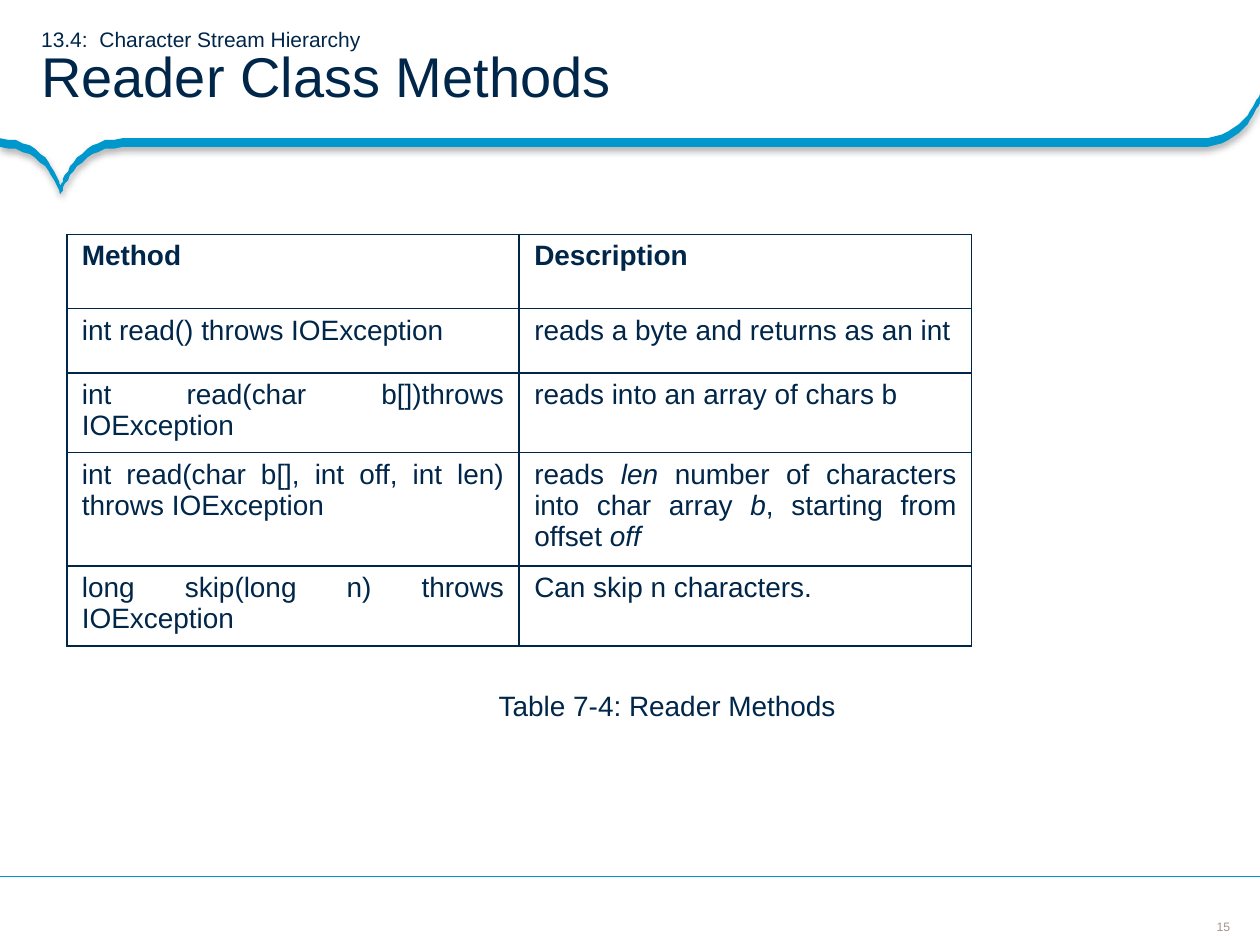
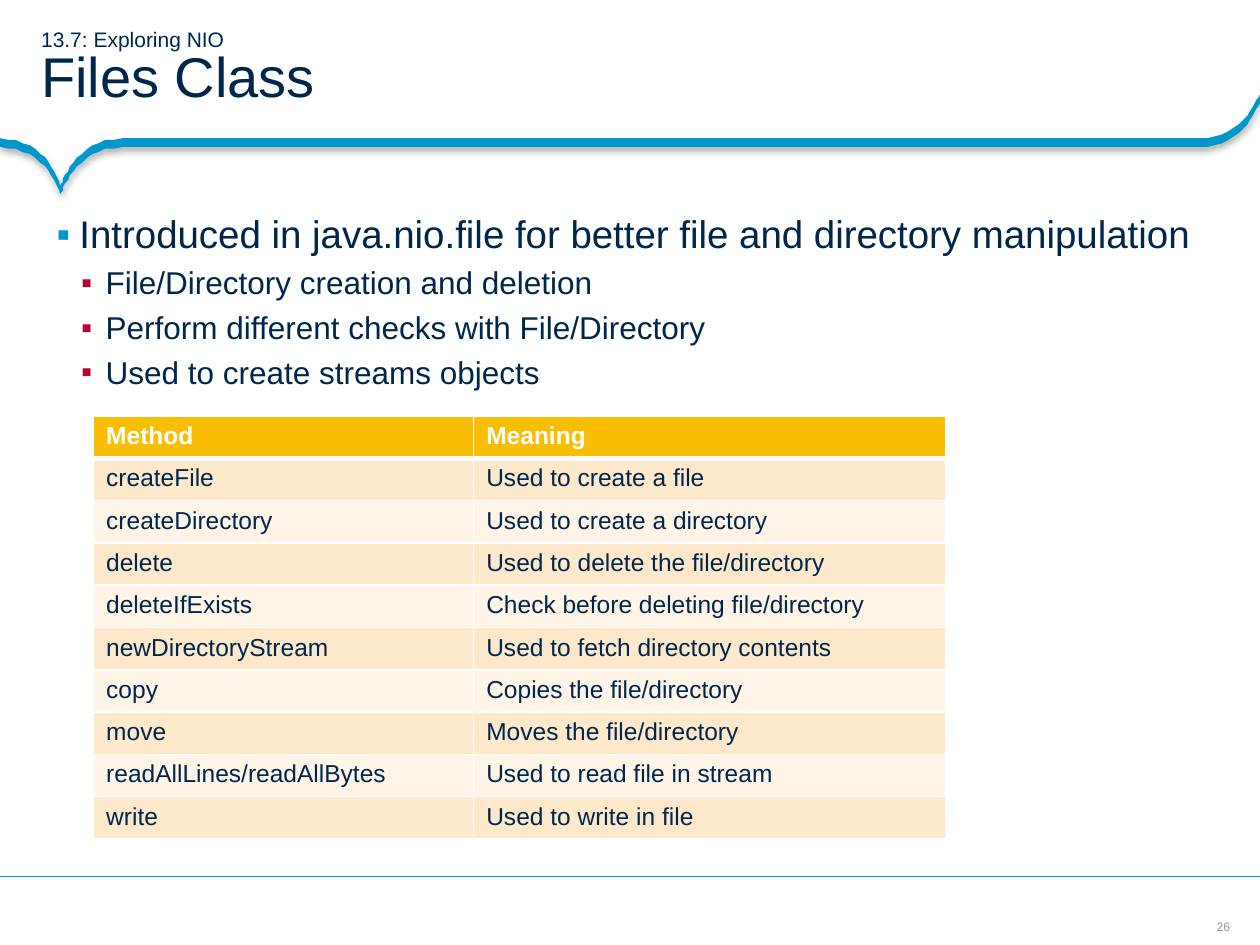
from copy import deepcopy

from lxml.etree import SubElement
from pptx import Presentation
from pptx.dml.color import RGBColor
from pptx.enum.shapes import MSO_CONNECTOR
from pptx.enum.text import MSO_ANCHOR, PP_ALIGN
from pptx.oxml.ns import qn
from pptx.util import Pt

MIDDLE = MSO_ANCHOR.MIDDLE
CENTER, JUSTIFY = PP_ALIGN.CENTER, PP_ALIGN.JUSTIFY
STRAIGHT = MSO_CONNECTOR.STRAIGHT

rgb = RGBColor.from_string
NAVY, BLUE, RED, GREY = "00264A", "0098CC", "B70132", "9F958F"
WHITE, GOLD, PEACH, CREAM = "FFFFFF", "F9BE01", "FDE8CC", "FEF4E7"

HEADS = [
    ("13.4:  Character Stream Hierarchy", "Reader Class Methods", "15"),
    ("13.7: Exploring NIO", "Files Class", "26"),
]
READER = [
    ("Method", "Description"),
    ("int read() throws IOException", "reads a byte and returns as an int"),
    ("int read(char b[])throws IOException", "reads into an array of chars b"),
    ("int read(char b[], int off, int len) throws IOException",
     "reads *len *number of characters into char array *b*, "
     "starting from offset *off*"),
    ("long skip(long n) throws IOException", "Can skip n characters."),
]
FILES = [
    ("Method", "Meaning"),
    ("createFile", "Used to create a file"),
    ("createDirectory", "Used to create a directory"),
    ("delete", "Used to delete the file/directory"),
    ("deleteIfExists", "Check before deleting file/directory"),
    ("newDirectoryStream", "Used to fetch directory contents"),
    ("copy", "Copies the file/directory"),
    ("move", "Moves the file/directory"),
    ("readAllLines/readAllBytes", "Used to read file in stream"),
    ("write", "Used to write in file"),
]
POINTS = [
    ("Introduced in java.nio.file for better file and directory manipulation",
     22, BLUE, 13),
    ("File/Directory creation and deletion", 18, RED, 28),
    ("Perform different checks with File/Directory", 18, RED, 28),
    ("Used to create streams objects", 18, RED, 28),
]


def write(para, text, size, color=NAVY, bold=False, align=None,
          line=None, before=None, after=None):
    """Add runs to a paragraph; text between asterisks is italic."""
    for i, part in enumerate(text.split("*")):
        if part:
            run = para.add_run()
            run.text = part
            font = run.font
            font.name, font.size, font.bold = "Arial", Pt(size), bold
            font.italic = i % 2 == 1
            font.color.rgb = rgb(color)
    if align is not None:
        para.alignment = align
    if line:
        para.line_spacing = line
    if before:
        para.space_before = Pt(before)
    if after:
        para.space_after = Pt(after)


def grid(slide, rows, left, top, cols, highs, edge, rule, fills, ink, size,
         pad, **form):
    """Add a table; rule is the line width under its head row,
    fills are those of the head, odd and even rows."""
    table = slide.shapes.add_table(
        len(rows), len(cols), Pt(left), Pt(top), Pt(sum(cols)),
        Pt(sum(highs))).table
    for col, wide in zip(table.columns, cols):
        col.width = Pt(wide)
    for r, (texts, high) in enumerate(zip(rows, highs)):
        table.rows[r].height = Pt(high)
        head = r == 0
        for c, text in enumerate(texts):
            cell = table.cell(r, c)
            cell.margin_left = cell.margin_right = Pt(pad)
            props = cell._tc.get_or_add_tcPr()
            for side in "LRTB":
                wide = rule if (r, side) in ((0, "B"), (1, "T")) else 1
                ln = SubElement(props, qn("a:ln" + side), w=str(Pt(wide)))
                fill = SubElement(ln, qn("a:solidFill"))
                SubElement(fill, qn("a:srgbClr"), val=edge)
            cell.fill.solid()
            cell.fill.fore_color.rgb = rgb(
                fills[0] if head else fills[2 - r % 2])
            write(cell.text_frame.paragraphs[0], text, size,
                  ink if head else NAVY, head, **form)


# Upper edge of the band: three curves, the lower edge is the same moved down
arcs = [
    ((0, 79.2), (27.4, 79.2), (34.8, 106), (34.8, 106)),
    ((34.8, 106), (34.8, 106), (42.5, 79.2), (69.8, 79.2)),
    ((684.7, 79.2), (712, 79.2), (720, 53.3), (720, 53.3)),
]
STEPS, THICK = 16, 5
edge = []
for arc in arcs:
    for n in range(STEPS + 1):
        t = n / STEPS
        mix = ((1 - t) ** 3, 3 * t * (1 - t) ** 2, 3 * t * t * (1 - t), t ** 3)
        edge.append(tuple(sum(m * p[k] for m, p in zip(mix, arc))
                          for k in (0, 1)))
band = edge + [(x, y + THICK) for x, y in reversed(edge)]

deck = Presentation()
deck.slide_width, deck.slide_height = Pt(720), Pt(540)
slides = []
for topic, name, page in HEADS:
    slide = deck.slides.add_slide(deck.slide_layouts[5])
    slides.append(slide)
    shapes = slide.shapes

    pen = shapes.build_freeform(*band[0], scale=Pt(1))
    pen.add_line_segments(band[1:], close=True)
    wave = pen.convert_to_shape()
    wave.fill.solid()
    wave.fill.fore_color.rgb = rgb(BLUE)
    wave.line.fill.background()
    wave.shadow.inherit = False
    glow = SubElement(wave._element.spPr.find(qn("a:effectLst")),
                      qn("a:outerShdw"), blurRad=str(Pt(4)), dist=str(Pt(2)),
                      dir="5400000", algn="t", rotWithShape="0")
    tint = SubElement(glow, qn("a:srgbClr"), val="000000")
    SubElement(tint, qn("a:alpha"), val="31000")

    foot = shapes.add_connector(STRAIGHT, Pt(720), Pt(501), Pt(0), Pt(501))
    foot.line.color.rgb = rgb(BLUE)
    foot.line.width = Pt(0.75)
    SubElement(foot._element.spPr, qn("a:effectLst"))

    title = shapes.title
    title.left, title.top = Pt(0), Pt(0)
    title.width, title.height = Pt(720), Pt(79.2)
    frame = title.text_frame
    frame.word_wrap = True
    frame.vertical_anchor = MIDDLE
    frame.margin_left, frame.margin_right = Pt(23.5), Pt(13)
    frame.margin_top = frame.margin_bottom = Pt(3)
    para = frame.paragraphs[0]
    write(para, topic, 12, align=PP_ALIGN.LEFT, line=0.85)
    para.add_line_break()
    para._p[-1].append(deepcopy(para.runs[0]._r.rPr))
    write(para, name, 32)

    frame = shapes.add_textbox(Pt(694.8), Pt(524.9), Pt(8.6), Pt(8.6)).text_frame
    frame.word_wrap = False
    frame.vertical_anchor = MIDDLE
    frame.margin_left = frame.margin_right = 0
    frame.margin_top = frame.margin_bottom = 0
    write(frame.paragraphs[0], page, 7, GREY, align=CENTER)

reader, files = slides

grid(reader, READER, 38.2, 133.9, [258.5] * 2, [42.5, 36.7, 44.6, 60, 42],
     NAVY, 1, [WHITE] * 3, NAVY, 16, 8.6, align=JUSTIFY, before=3.2)
frame = reader.shapes.add_textbox(
    Pt(276.5), Pt(389.5), Pt(209.5), Pt(26.6)).text_frame
frame.word_wrap = False
frame.vertical_anchor = MIDDLE
write(frame.paragraphs[0], "Table 7‑4: Reader Methods", 16, align=CENTER)

frame = files.shapes.add_textbox(
    Pt(23.8), Pt(117.4), Pt(696), Pt(115)).text_frame
frame.word_wrap = True
frame.margin_left = Pt(8.6)
frame.margin_right = frame.margin_top = frame.margin_bottom = Pt(5.8)
for i, (text, size, dot, indent) in enumerate(POINTS):
    para = frame.add_paragraph() if i else frame.paragraphs[0]
    write(para, text, size, line=0.9, after=6)
    props = para._p.get_or_add_pPr()
    props.set("marL", str(Pt(indent)))
    props.set("indent", str(Pt(-14 if i else -13)))
    SubElement(SubElement(props, qn("a:buClr")), qn("a:srgbClr"), val=dot)
    SubElement(props, qn("a:buFont"), typeface="Arial")
    SubElement(props, qn("a:buChar"), char="▪")

grid(files, FILES, 53.5, 237.8, [217.2, 270], [20.2] + [24.2] * 9,
     WHITE, 3, [GOLD, PEACH, CREAM], WHITE, 14, 7.2)

deck.save("out.pptx")
